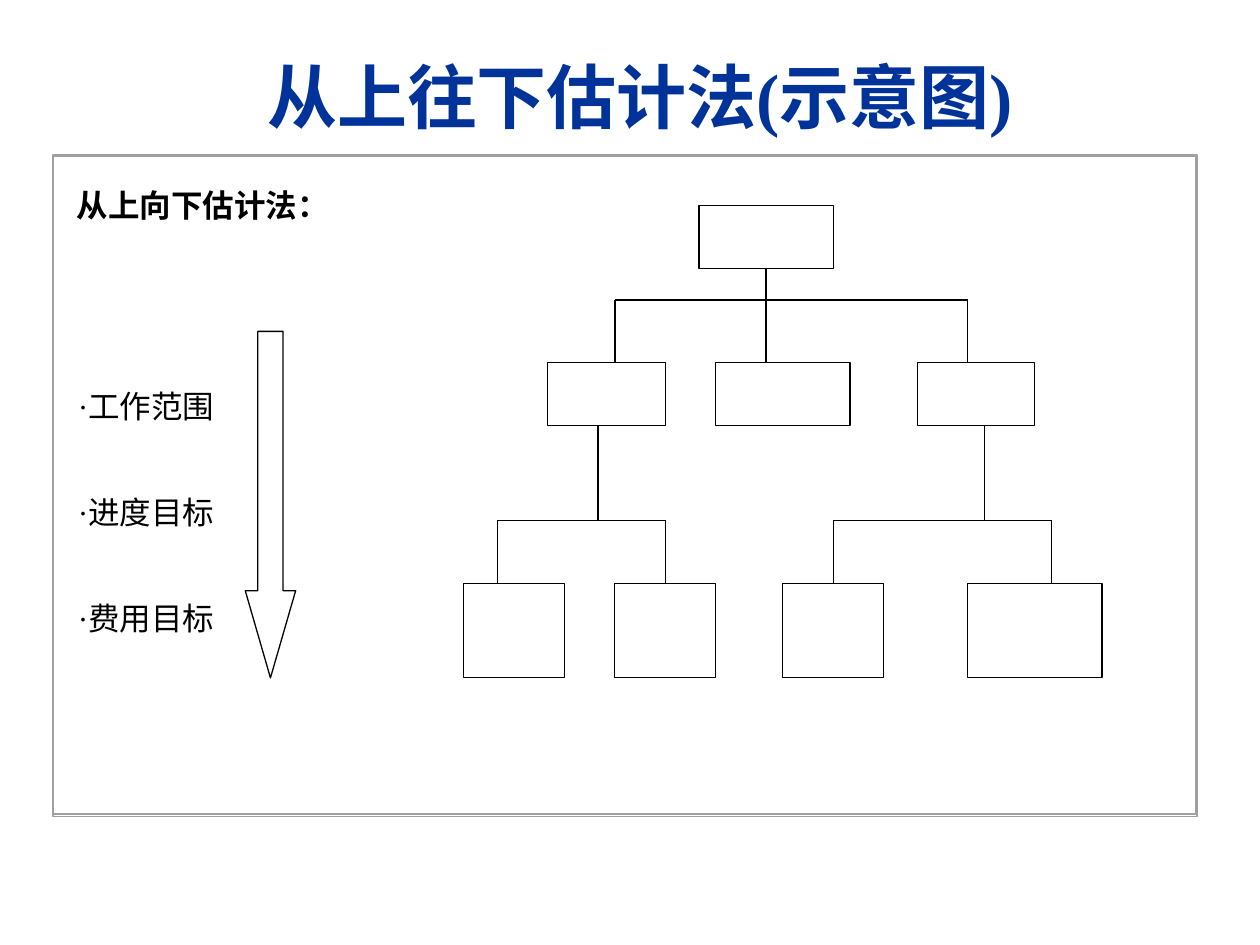
from lxml.etree import SubElement
from pptx import Presentation
from pptx.dml.color import RGBColor
from pptx.enum.shapes import MSO_CONNECTOR, MSO_SHAPE
from pptx.enum.text import MSO_ANCHOR, PP_ALIGN
from pptx.oxml.ns import qn
from pptx.util import Inches, Pt

presentation = Presentation()
presentation.slide_width, presentation.slide_height = Inches(10), Inches(7.5)
slide = presentation.slides.add_slide(presentation.slide_layouts[6])

# Diagram grid: column 0, row 0 is the left edge of the leaves, top of the root
COLUMN = presentation.slide_width / 75
ROW = presentation.slide_height / 30
LEFT, TOP = Inches(3.68), Inches(1.63)


def add_outline(kind, left, top, width, height, line, weight, fill=None):
    """Add a plain outlined shape, unfilled unless a fill colour is given."""
    shape = slide.shapes.add_shape(kind, int(left), int(top), int(width), int(height))
    shape.shadow.inherit = False
    if fill:
        shape.fill.solid()
        shape.fill.fore_color.rgb = RGBColor.from_string(fill)
    else:
        shape.fill.background()
    shape.line.color.rgb = RGBColor.from_string(line)
    shape.line.width = Pt(weight)
    return shape


def add_text(box, lines, size, color, bold, alignment, anchor=MSO_ANCHOR.TOP, gap=0):
    """Add a text box with one paragraph per line and a gap between paragraphs."""
    frame = slide.shapes.add_textbox(*map(Inches, box)).text_frame
    frame.word_wrap = True
    frame.vertical_anchor = anchor
    for index, line in enumerate(lines):
        paragraph = frame.add_paragraph() if index else frame.paragraphs[0]
        paragraph.alignment = alignment
        if index:
            paragraph.space_before = Pt(gap)
        run = paragraph.add_run()
        run.text = line
        run.font.name = "Times New Roman"
        run.font.size = Pt(size)
        run.font.bold = bold
        run.font.color.rgb = RGBColor.from_string(color)


add_text((1.22, 0.21, 7.72, 0.93), ["从上往下估计法(示意图)"], 40, "003399", True,
         PP_ALIGN.CENTER, MSO_ANCHOR.BOTTOM)

arrow = add_outline(MSO_SHAPE.DOWN_ARROW, LEFT - 13 * COLUMN, TOP + 4 * ROW,
                    3 * COLUMN, 11 * ROW, "000000", 0.75, "FFFFFF")
arrow.adjustments[0], arrow.adjustments[1] = 0.5, 1.73

# Levels of the tree: top row, rows high, (first column, columns wide) of each box
levels = [
    (0, 2, [(14, 8)]),
    (5, 2, [(5, 7), (15, 8), (27, 7)]),
    (12, 3, [(0, 6), (9, 6), (19, 6), (28, 8 + 2 - 2)]),
]
side_middles = {}
for row, rows, boxes in levels:
    for column, columns in boxes:
        # The last leaf starts two columns later than its neighbours' rhythm
        start = column + 2 if column == 28 else column
        box = add_outline(MSO_SHAPE.RECTANGLE, LEFT + start * COLUMN, TOP + row * ROW,
                          columns * COLUMN, rows * ROW, "000000", 0.75, "FFFFFF")
        side_middles[start + columns / 2, row] = (box, 0)
        side_middles[start + columns / 2, row + rows] = (box, 2)

# Branches: stem column, stem start row, stem end row, bar row, drop end row, drop columns
branches = [
    (18, 2, 5, 3, 5, (9, 30)),
    (8, 7, 10, 10, 12, (2, 12)),
    (31, 7, 10, 10, 12, (22, 35)),
]
for stem, stem_top, stem_end, bar, drop_end, (first, last) in branches:
    segments = [((stem, stem_top), (stem, stem_end)), ((first, bar), (last, bar))]
    segments += [((column, bar), (column, drop_end)) for column in (first, last)]
    for begin, end in segments:
        points = [int(value) for column, row in (begin, end)
                  for value in (LEFT + column * COLUMN, TOP + row * ROW)]
        connector = slide.shapes.add_connector(MSO_CONNECTOR.STRAIGHT, *points)
        connector.line.color.rgb = RGBColor.from_string("000000")
        connector.line.width = Pt(0.75)
        SubElement(connector._element.spPr, qn("a:effectLst"))
        if begin in side_middles:
            connector.begin_connect(*side_middles[begin])
        if end in side_middles:
            connector.end_connect(*side_middles[end])

add_text((0.51, 1.43, 7.59, 0.4), ["从上向下估计法："], 18, "000000", True, PP_ALIGN.JUSTIFY)
add_text((0.52, 3.02, 1.4, 2.3), ["·工作范围", "·进度目标", "·费用目标"], 18, "000000", False,
         PP_ALIGN.JUSTIFY, gap=39)

# Double frame around the diagram
for left, top, width, height, weight in [(0.42, 1.24, 9.07, 5.22, 0),
                                         (0.42, 1.23, 9.08, 5.25, 0.75)]:
    add_outline(MSO_SHAPE.RECTANGLE, Inches(left), Inches(top), Inches(width),
                Inches(height), "A0A0A0", weight)

presentation.save("out.pptx")
